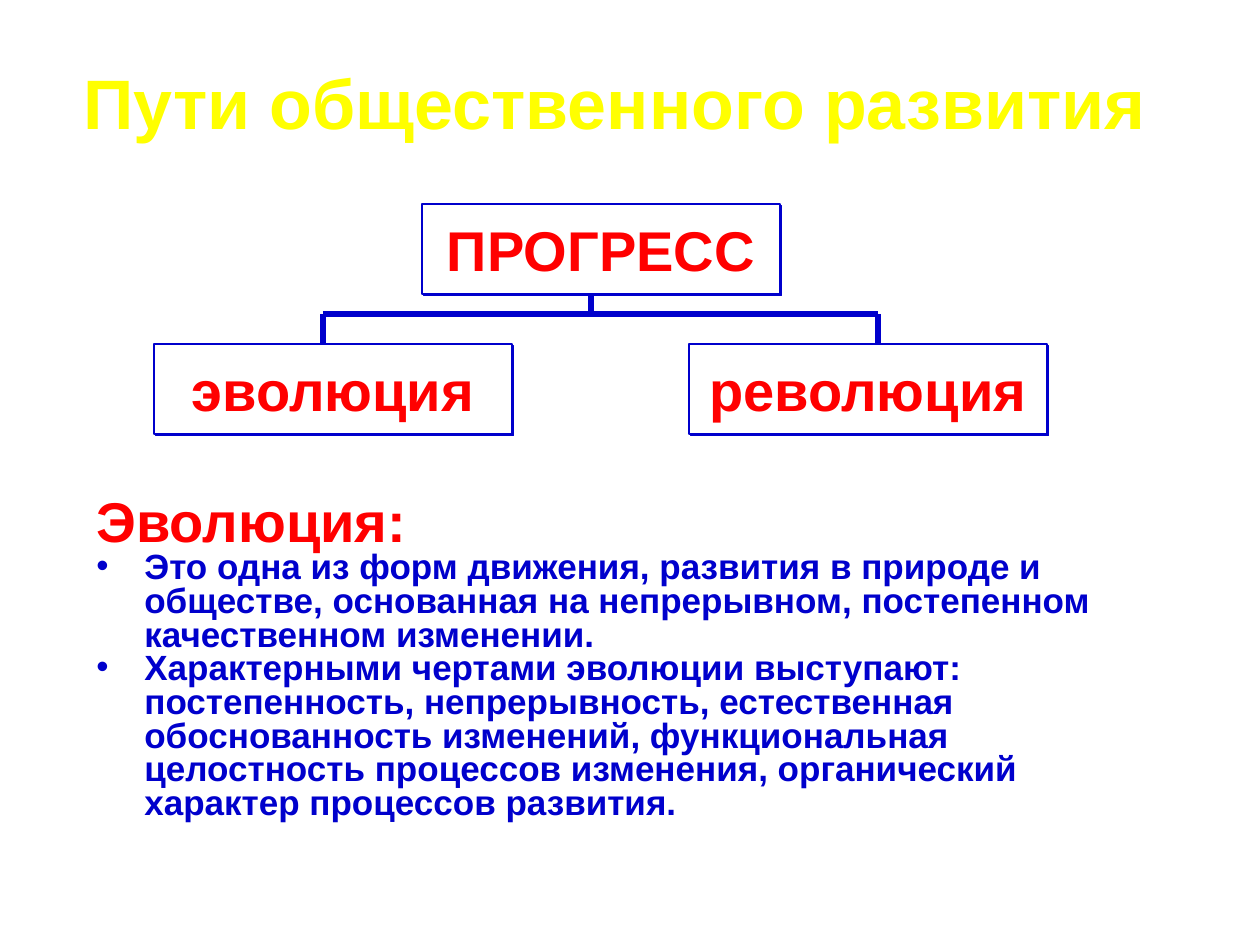
from lxml import etree
from pptx import Presentation
from pptx.dml.color import RGBColor
from pptx.enum.shapes import MSO_CONNECTOR, MSO_SHAPE
from pptx.enum.text import MSO_ANCHOR, PP_ALIGN
from pptx.oxml.ns import qn
from pptx.util import Pt

PX = 914400 / 126
RED = RGBColor(0xFF, 0x00, 0x00)
BLUE = RGBColor(0x00, 0x00, 0xCC)
YELLOW = RGBColor(0xFF, 0xFF, 0x00)
WHITE = RGBColor(0xFF, 0xFF, 0xFF)
RECTANGLE = MSO_SHAPE.RECTANGLE
STRAIGHT = MSO_CONNECTOR.STRAIGHT
MIDDLE, TOP = MSO_ANCHOR.MIDDLE, MSO_ANCHOR.TOP
LEFT, CENTER = PP_ALIGN.LEFT, PP_ALIGN.CENTER
INDENT = 48
SHADOW = (
    '<a:effectLst xmlns:a="http://schemas.openxmlformats.org/drawingml/2006/main">'
    '<a:outerShdw dist="17780" dir="2700000" algn="ctr" rotWithShape="0">'
    f'<a:srgbClr val="{BLUE}"/></a:outerShdw></a:effectLst>'
)


def emu(*lengths):
    return [round(length * PX) for length in lengths]


def write(frame, text, size, color, align=LEFT, anchor=MIDDLE, wrap=True,
          spacing=None, hanging=False, bullet=False, shadow=False, new=False):
    frame.word_wrap = wrap
    frame.vertical_anchor = anchor
    paragraph = frame.add_paragraph() if new else frame.paragraphs[0]
    paragraph.alignment = align
    paragraph.line_spacing = spacing
    properties = paragraph._p.get_or_add_pPr()
    if hanging:
        indent, = emu(INDENT)
        properties.set("marL", str(indent))
        properties.set("indent", str(-indent))
    if bullet:
        bullet_color = etree.SubElement(properties, qn("a:buClr"))
        etree.SubElement(bullet_color, qn("a:srgbClr"), val=str(color))
        etree.SubElement(properties, qn("a:buFont"), typeface="Arial")
        etree.SubElement(properties, qn("a:buChar"), char="•")
    run = paragraph.add_run()
    run.text = text
    run.font.size = Pt(size)
    run.font.bold = True
    run.font.color.rgb = color
    run.font.name = "Arial"
    if shadow:
        latin = run._r.rPr.find(qn("a:latin"))
        latin.addprevious(etree.fromstring(SHADOW))


prs = Presentation()
prs.slide_width, prs.slide_height = emu(1260, 945)
slide = prs.slides.add_slide(prs.slide_layouts[6])
shapes = slide.shapes

title = shapes.add_textbox(*emu(71, 30, 1119, 142))
write(title.text_frame, "Пути общественного развития", 40, YELLOW, shadow=True)

for term, left, top in [
    ("ПРОГРЕСС", 422, 204),
    ("революция", 689, 344),
    ("эволюция", 154, 344),
]:
    box = shapes.add_shape(RECTANGLE, *emu(left, top, 358, 90))
    box.fill.solid()
    box.fill.fore_color.rgb = WHITE
    box.line.color.rgb = BLUE
    box.line.width = Pt(0.75)
    box._element.spPr.append(etree.fromstring(SHADOW))
    write(box.text_frame, term, 32, RED, align=CENTER, wrap=False)

trunk, left_branch, right_branch = 591, 323, 878
bar = 314
for ends in [
    (left_branch, bar, right_branch, bar),
    (trunk, 294, trunk, bar),
    (left_branch, bar, left_branch, 344),
    (right_branch, bar, right_branch, 344),
]:
    branch = shapes.add_connector(STRAIGHT, *emu(*ends))
    branch.line.color.rgb = BLUE
    branch.line.width = Pt(3.75)
    etree.SubElement(branch._element.spPr, qn("a:effectLst"))

definition = shapes.add_textbox(*emu(84, 493, 1060, 348)).text_frame
write(definition, "Эволюция:", 32, RED, anchor=TOP, spacing=0.8, hanging=True)
for point in [
    "Это одна из форм движения, развития в природе и обществе, основанная "
    "на непрерывном, постепенном качественном изменении.",
    "Характерными чертами эволюции выступают: постепенность, непрерывность, "
    "естественная обоснованность изменений, функциональная целостность "
    "процессов изменения, органический характер процессов развития.",
]:
    write(definition, point, 20, BLUE, anchor=TOP, spacing=0.8,
          hanging=True, bullet=True, new=True)

prs.save("out.pptx")
